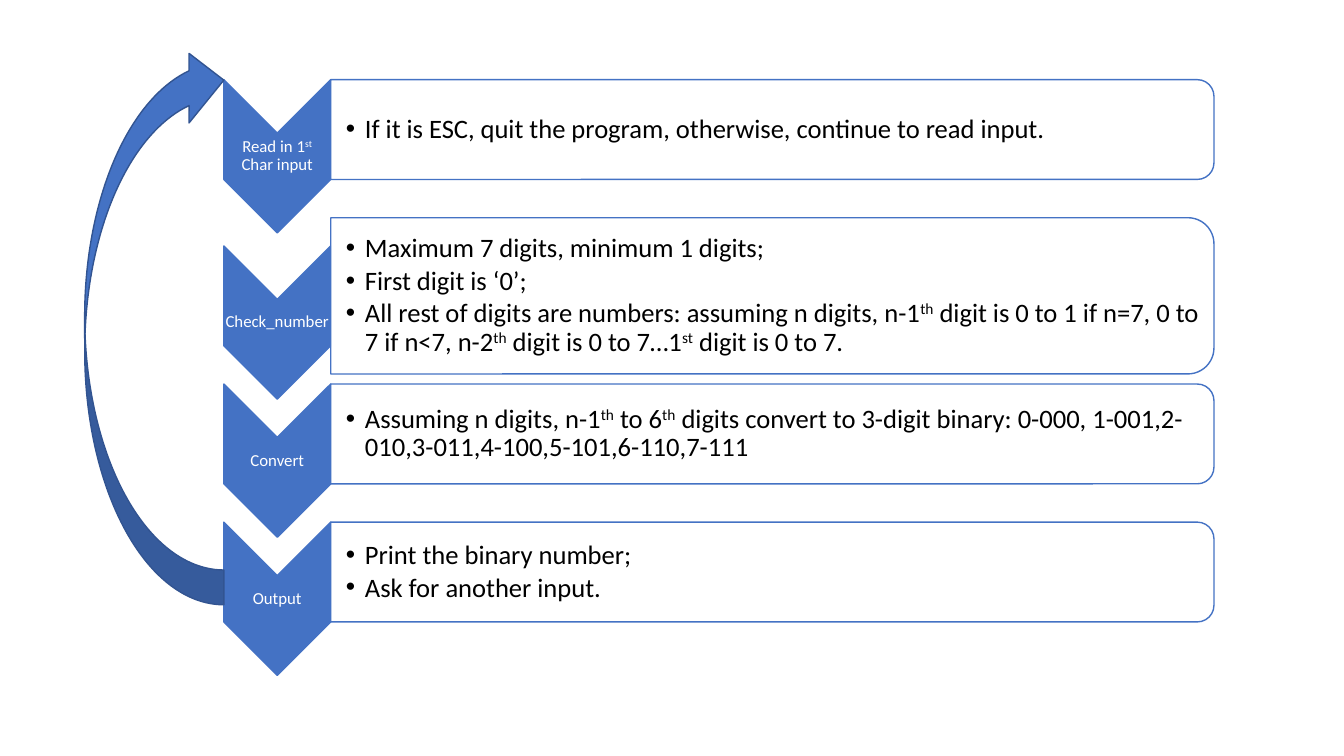
from pptx import Presentation
from pptx import util as u
from pptx.dml.color import RGBColor
from pptx.enum import shapes, text
from pptx.oxml.ns import qn
from lxml import etree

BLUE, DARK_BLUE, WHITE, BLACK = "4472C4", "325491", "FFFFFF", "000000"
CHEVRON_WIDTH, CHEVRON_HEIGHT = 1.06, 1.52
BAR_WIDTH, BAR_HEIGHT, ROW_PITCH = 8.76, 0.99, 1.37
STEPS_LEFT, STEPS_TOP = 2.22, 0.79

STEPS = [
    ("Read in 1^st^ Char input", BAR_HEIGHT,
     ["If it is ESC, quit the program, otherwise, continue to read input."]),
    ("Check_number", 1.55,
     ["Maximum 7 digits, minimum 1 digits;",
      "First digit is ‘0’;",
      "All rest of digits are numbers: assuming n digits, n-1^th^ digit is 0 to 1 "
      "if n=7, 0 to 7 if n<7, n-2^th^ digit is 0 to 7…1^st^ digit is 0 to 7."]),
    ("Convert", BAR_HEIGHT,
     ["Assuming n digits, n-1^th^ to 6^th^ digits convert to 3-digit binary: "
      "0-000, 1-001,2-010,3-011,4-100,5-101,6-110,7-111"]),
    ("Output", BAR_HEIGHT,
     ["Print the binary number;", "Ask for another input."]),
]


def color(value):
    """Return the colour for a hex string."""
    return RGBColor.from_string(value)


def add_outline(slide, kind, left, top, width, height, fill, line):
    """Add a preset shape without shadow."""
    shape = slide.shapes.add_shape(kind, *map(u.Inches, (left, top, width, height)))
    shape.shadow.inherit = False
    shape.fill.solid()
    shape.fill.fore_color.rgb = color(fill)
    shape.line.color.rgb = color(line)
    shape.line.width = u.Pt(1)
    return shape


def add_turned(slide, kind, left, top, width, height, fill):
    """Add a shape turned a quarter clockwise that covers the given box."""
    shift = (width - height) / 2
    shape = add_outline(slide, kind, left + shift, top - shift, height, width, fill, BLUE)
    shape.rotation = 90
    return shape


def add_bullet(paragraph):
    """Give a paragraph a hanging bullet."""
    properties = paragraph._p.get_or_add_pPr()
    properties.set("marL", str(u.Inches(0.19)))
    properties.set("indent", str(u.Inches(-0.19)))
    etree.SubElement(properties, qn("a:buFont")).set("typeface", "Arial")
    etree.SubElement(properties, qn("a:buChar")).set("char", "•")


def add_text(slide, left, top, width, height, lines, size, fill, bulleted=False):
    """Add text in which carets enclose superscripts."""
    box = slide.shapes.add_textbox(*map(u.Inches, (left, top, width, height)))
    frame = box.text_frame
    frame.word_wrap = True
    frame.vertical_anchor = text.MSO_ANCHOR.MIDDLE
    frame.margin_left = u.Inches(0.15 if bulleted else 0.01)
    frame.margin_top = frame.margin_right = frame.margin_bottom = u.Inches(0.01)
    for index, line in enumerate(lines):
        paragraph = frame.add_paragraph() if index else frame.paragraphs[0]
        paragraph.alignment = text.PP_ALIGN.LEFT if bulleted else text.PP_ALIGN.CENTER
        paragraph.line_spacing = 0.9
        if bulleted:
            paragraph.space_after = u.Pt(2.85)
            add_bullet(paragraph)
        paragraph.font.name = "Calibri"
        paragraph.font.size = u.Pt(size)
        paragraph.font.color.rgb = color(fill)
        for part, words in enumerate(line.split("^")):
            run = paragraph.add_run()
            run.text = words
            if part % 2:
                run.font._element.set("baseline", "30000")


def add_step(slide, left, top, height, label, lines):
    """Draw a chevron and its detail bar from the bar's top."""
    chevron_top = top + (height - BAR_HEIGHT) / 2
    bar_left = left + CHEVRON_WIDTH
    add_turned(slide, shapes.MSO_SHAPE.CHEVRON, left, chevron_top,
               CHEVRON_WIDTH, CHEVRON_HEIGHT, BLUE)
    add_text(slide, left, chevron_top + 0.53, CHEVRON_WIDTH, 0.46, [label], 12, WHITE)
    bar = add_turned(slide, shapes.MSO_SHAPE.ROUND_2_SAME_RECTANGLE, bar_left, top,
                     BAR_WIDTH, height, WHITE)
    fill_color = bar._element.spPr.find(qn("a:solidFill"))[0]
    etree.SubElement(fill_color, qn("a:alpha")).set("val", "90000")
    add_text(slide, bar_left, top, BAR_WIDTH - 0.06, height, lines, 19, BLACK, True)


def add_steps(slide, left, top):
    """Stack the steps, lowering each by the extra height of the bar above."""
    for label, height, lines in STEPS:
        add_step(slide, left, top, height, label, lines)
        top += ROW_PITCH + (height - BAR_HEIGHT) / 2


def add_return_arrow(slide, left, top, width, height):
    """Draw the curved arrow from the last step back to the first."""
    arrow = add_outline(slide, shapes.MSO_SHAPE.CURVED_RIGHT_ARROW,
                        left, top, width, height, BLUE, DARK_BLUE)
    arrow._element.spPr.xfrm.set("flipV", "1")


def main():
    """Build the slide and save it."""
    presentation = Presentation()
    presentation.slide_width = u.Inches(13.33)
    presentation.slide_height = u.Inches(7.5)
    slide = presentation.slides.add_slide(presentation.slide_layouts[6])
    add_steps(slide, STEPS_LEFT, STEPS_TOP)
    add_return_arrow(slide, 0.84, 0.53 - 0.08, 1.38, 5.55)
    presentation.save("out.pptx")


if __name__ == "__main__":
    main()
